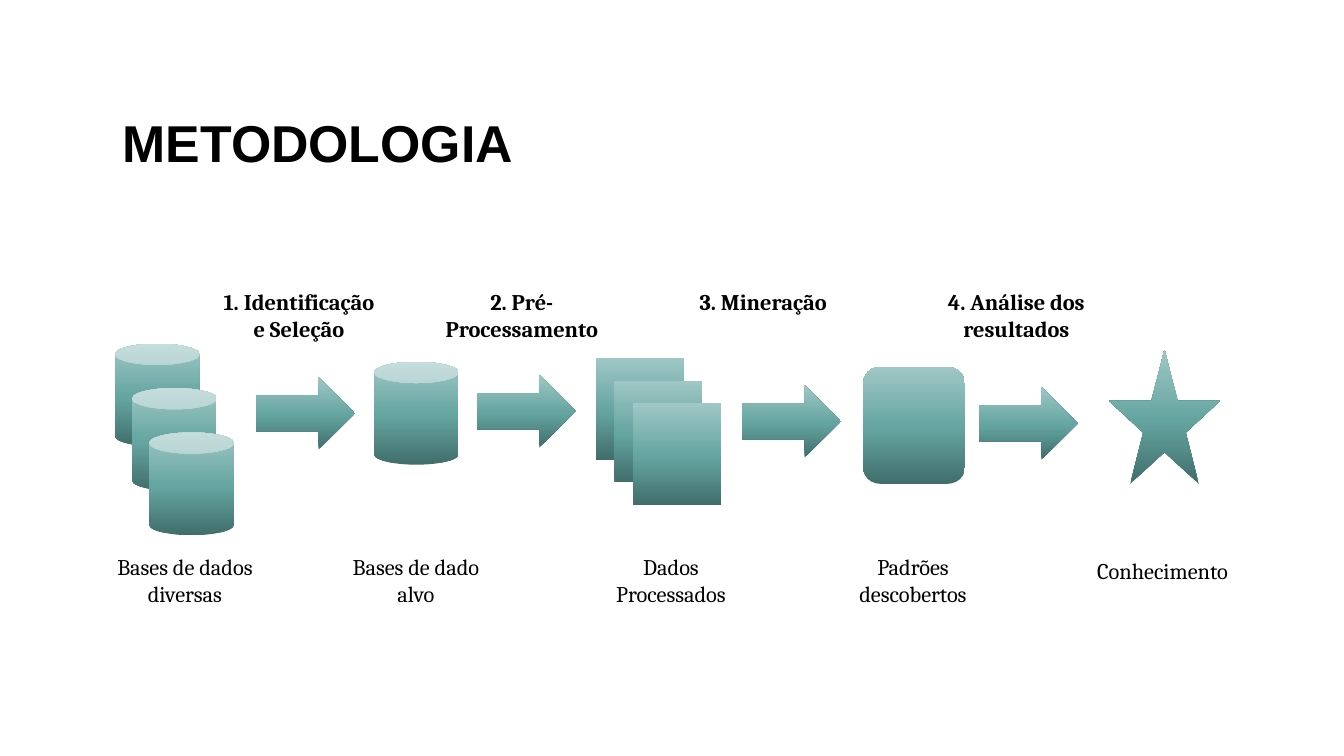
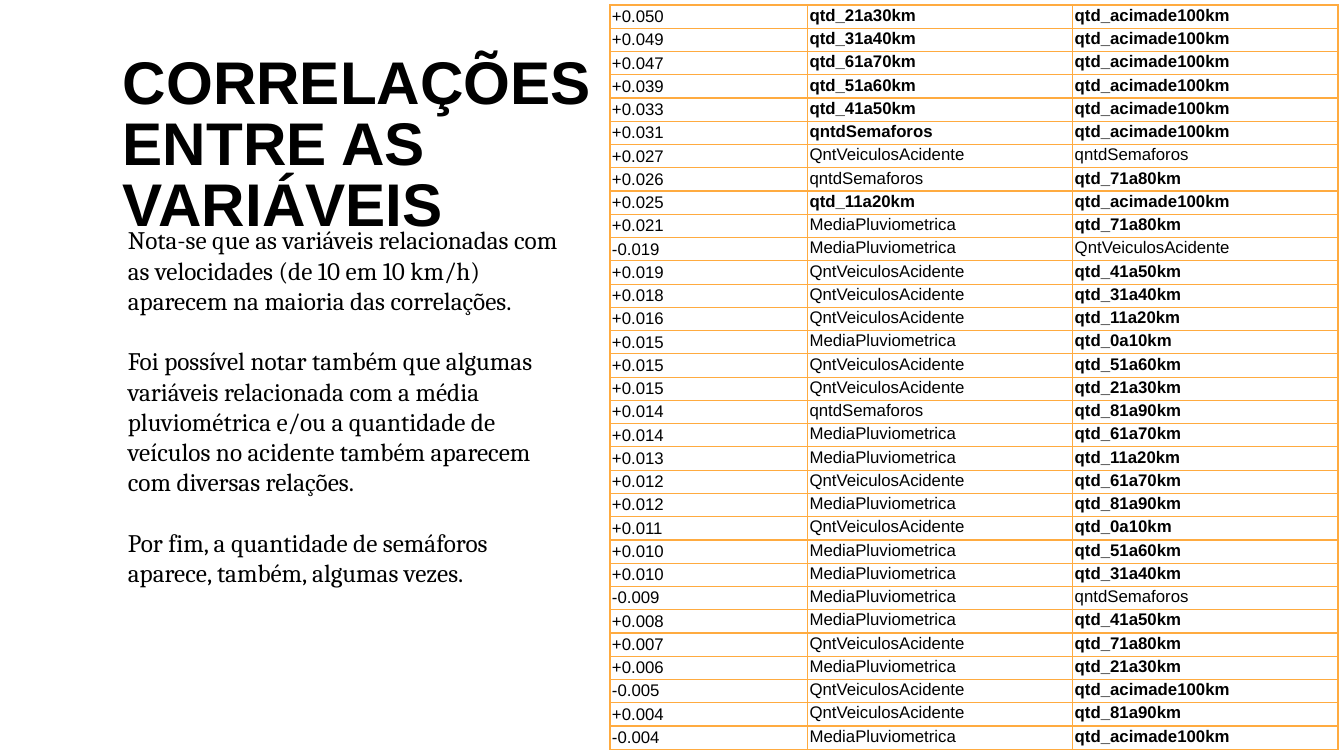
import copy
import pptx
import pptx.util
import pptx.dml.color
import pptx.enum.shapes
import pptx.enum.text
import pptx.oxml
import pptx.oxml.ns

Inches = pptx.util.Inches
Pt = pptx.util.Pt
RGB = pptx.dml.color.RGBColor.from_string
KIND = pptx.enum.shapes.MSO_SHAPE
ALIGN = pptx.enum.text.PP_ALIGN
ANCHOR = pptx.enum.text.MSO_ANCHOR
qn = pptx.oxml.ns.qn

HUE = {"ink": "000000", "dark": "406E6B", "mid": "65A5A1",
       "light": "9FC7C5", "grid": "FFAB40"}
FADE = [(0, HUE["dark"]), (0.48, HUE["mid"]), (1, HUE["light"])]
HEAD, BODY = "Arial", "Cambria"

deck = pptx.Presentation()
deck.slide_width, deck.slide_height = Inches(13.33), Inches(7.5)
blank = deck.slide_layouts[6]


def write(slide, box, text, size, font=BODY, bold=False, align=ALIGN.LEFT,
          anchor=ANCHOR.TOP, lead=None, gap=0):
    """Add a text box with one paragraph per line of text."""
    frame = slide.shapes.add_textbox(*map(Inches, box)).text_frame
    frame.word_wrap = True
    frame.vertical_anchor = anchor
    for i, line in enumerate(text.split("\n")):
        para = frame.paragraphs[0] if i == 0 else frame.add_paragraph()
        para.alignment = align
        if lead:
            para.line_spacing = lead
        if i and gap:
            para.space_before = Pt(gap)
        run = para.add_run()
        run.text = line
        run.font.name, run.font.size, run.font.bold = font, Pt(size), bold
        run.font.color.rgb = RGB(HUE["ink"])


def draw(shapes, kind, box):
    """Add a shape with the teal fade, dark at the foot."""
    shape = shapes.add_shape(kind, *map(Inches, box))
    shape.shadow.inherit = False
    shape.line.fill.background()
    shape.fill.gradient()
    shape.fill.gradient_angle = 90
    stops = shape._element.spPr.find(".//" + qn("a:gsLst"))
    stops.append(copy.deepcopy(stops[0]))
    for stop, (place, tone) in zip(shape.fill.gradient_stops, FADE):
        stop.position = place
        stop.color.rgb = RGB(tone)


# Titles
slides = []
for title, wide, size, lead in [
        ("METODOLOGIA", 10.63, 37, 0.8),
        ("CORRELAÇÕES ENTRE AS VARIÁVEIS", 4.93, 43, 0.84)]:
    slide = deck.slides.add_slide(blank)
    write(slide, (1.12, 0.64, wide, 1.64), title, size, HEAD, True,
          anchor=ANCHOR.MIDDLE, lead=lead)
    slides.append(slide)
flow, data = slides

# Stacks of three: sources and processed data
for kind, left, top, wide, high, dx, dy in [
        (KIND.CAN, 1.14, 3.41, 0.84, 1.02, 0.17, 0.44),
        (KIND.RECTANGLE, 5.91, 3.55, 0.87, 1.01, 0.185, 0.225)]:
    stack = flow.shapes.add_group_shape()
    for i in range(3):
        draw(stack.shapes, kind, (left + i * dx, top + i * dy, wide, high))

# Single stages
for kind, box in [
        (KIND.CAN, (3.71, 3.59, 0.84, 1.02)),
        (KIND.ROUNDED_RECTANGLE, (8.56, 3.64, 1.01, 1.16)),
        (KIND.STAR_5_POINT, (11, 3.47, 1.1, 1.33))]:
    draw(flow.shapes, kind, box)

# Arrows between stages
for left, top in [(2.54, 3.74), (4.73, 3.72), (7.36, 3.82), (9.71, 3.84)]:
    draw(flow.shapes, KIND.RIGHT_ARROW, (left, top, 0.98, 0.72))

# Step names above
for left, wide, text in [
        (2.07, 1.79, "1. Identificação\ne Seleção"),
        (4.12, 2.11, "2. Pré-Processamento"),
        (6.79, 1.56, "3. Mineração"),
        (9.19, 1.78, "4. Análise dos resultados")]:
    write(flow, (left, 2.81, wide, 0.85), text, 16, bold=True,
          align=ALIGN.CENTER)

# Stage names below
for left, top, wide, text in [
        (0.95, 5.44, 1.77, "Bases de dados diversas"),
        (3.37, 5.44, 1.51, "Bases de dado alvo"),
        (5.9, 5.44, 1.51, "Dados Processados"),
        (8.3, 5.44, 1.51, "Padrões descobertos"),
        (10.67, 5.48, 1.72, "Conhecimento")]:
    write(flow, (left, top, wide, 0.85), text, 16, align=ALIGN.CENTER)

# Correlation table
FAST, RAIN = "qtd_acimade100km", "MediaPluviometrica"
CARS, LIGHTS = "QntVeiculosAcidente", "qntdSemaforos"
rows = [
    ("+0.050", "qtd_21a30km", FAST),
    ("+0.049", "qtd_31a40km", FAST),
    ("+0.047", "qtd_61a70km", FAST),
    ("+0.039", "qtd_51a60km", FAST),
    ("+0.033", "qtd_41a50km", FAST),
    ("+0.031", LIGHTS, FAST),
    ("+0.027", CARS, LIGHTS),
    ("+0.026", LIGHTS, "qtd_71a80km"),
    ("+0.025", "qtd_11a20km", FAST),
    ("+0.021", RAIN, "qtd_71a80km"),
    ("-0.019", RAIN, CARS),
    ("+0.019", CARS, "qtd_41a50km"),
    ("+0.018", CARS, "qtd_31a40km"),
    ("+0.016", CARS, "qtd_11a20km"),
    ("+0.015", RAIN, "qtd_0a10km"),
    ("+0.015", CARS, "qtd_51a60km"),
    ("+0.015", CARS, "qtd_21a30km"),
    ("+0.014", LIGHTS, "qtd_81a90km"),
    ("+0.014", RAIN, "qtd_61a70km"),
    ("+0.013", RAIN, "qtd_11a20km"),
    ("+0.012", CARS, "qtd_61a70km"),
    ("+0.012", RAIN, "qtd_81a90km"),
    ("+0.011", CARS, "qtd_0a10km"),
    ("+0.010", RAIN, "qtd_51a60km"),
    ("+0.010", RAIN, "qtd_31a40km"),
    ("-0.009", RAIN, LIGHTS),
    ("+0.008", RAIN, "qtd_41a50km"),
    ("+0.007", CARS, "qtd_71a80km"),
    ("+0.006", RAIN, "qtd_21a30km"),
    ("-0.005", CARS, FAST),
    ("+0.004", CARS, "qtd_81a90km"),
    ("-0.004", RAIN, FAST),
]
wides, high = [1.96, 2.63, 2.63], 7.39
grid = data.shapes.add_table(len(rows), 3, Inches(6.05), Inches(0.05),
                             Inches(sum(wides)), Inches(high)).table
grid.first_row = grid.horz_banding = False
for col, wide in zip(grid.columns, wides):
    col.width = Inches(wide)
for r, row in enumerate(rows):
    grid.rows[r].height = Inches(high / len(rows))
    for c, text in enumerate(row):
        cell = grid.cell(r, c)
        cell.margin_left = cell.margin_right = Inches(0.02)
        cell.margin_top = cell.margin_bottom = Inches(0.01)
        cell.vertical_anchor = ANCHOR.TOP if c else ANCHOR.MIDDLE
        run = cell.text_frame.paragraphs[0].add_run()
        run.text = text
        run.font.name, run.font.size = HEAD, Pt(12)
        run.font.bold = text.startswith("qtd_") or (r, c) == (5, 1)
        run.font.color.rgb = RGB(HUE["ink"])
        # Borders come before the fill in the cell's XML
        props = cell._tc.get_or_add_tcPr()
        for side in ("lnL", "lnR", "lnT", "lnB"):
            edge = pptx.oxml.parse_xml(
                f'<a:{side} {pptx.oxml.ns.nsdecls("a")} w="12700"><a:solidFill>'
                f'<a:srgbClr val="{HUE["grid"]}"/></a:solidFill></a:{side}>')
            props.append(edge)
        cell.fill.background()

# Remarks
write(data, (1.17, 2.18, 4.54, 3.74),
      "Nota-se que as variáveis relacionadas com as velocidades "
      "(de 10 em 10 km/h) aparecem na maioria das correlações.\n"
      "Foi possível notar também que algumas variáveis relacionada com a "
      "média pluviométrica e/ou a quantidade de veículos no acidente também "
      "aparecem com diversas relações.\n"
      "Por fim, a quantidade de semáforos aparece, também, algumas vezes.",
      18, gap=21.6)

deck.save("out.pptx")
